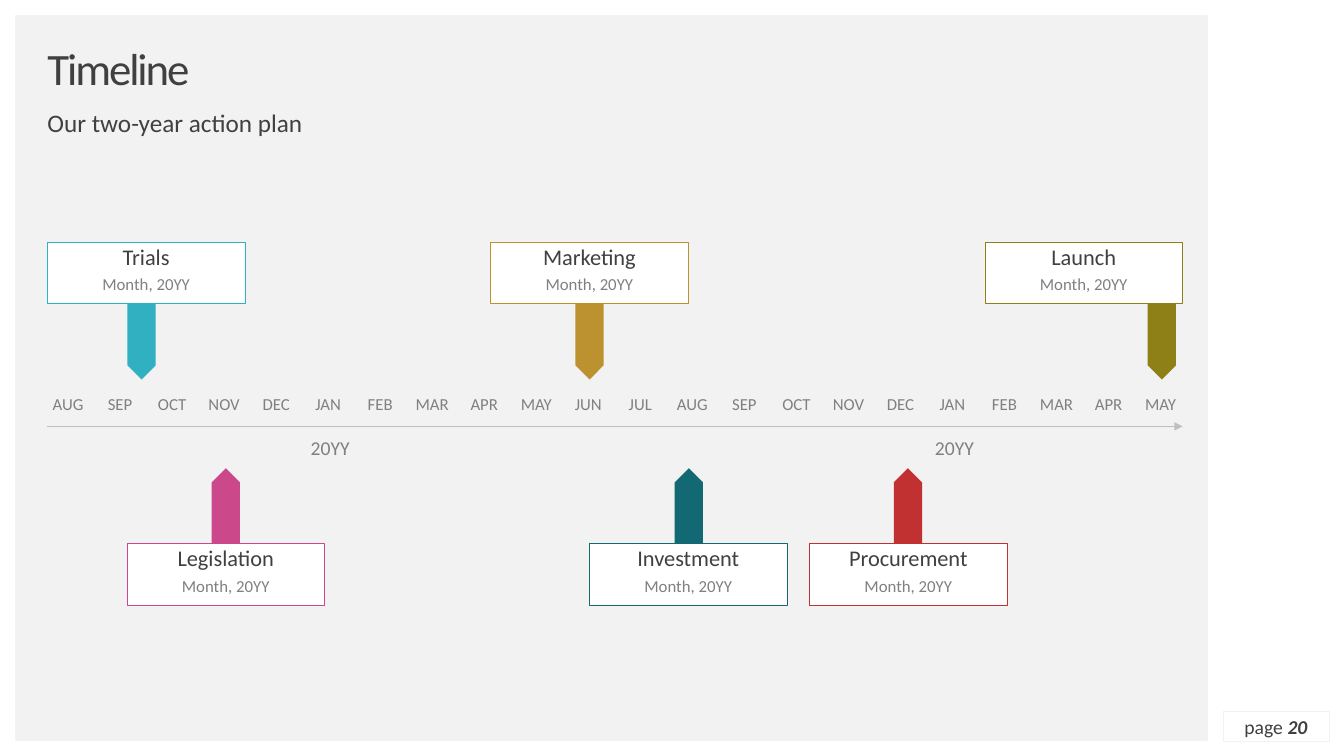
from lxml.etree import SubElement
from pptx import Presentation
from pptx.dml.color import RGBColor
from pptx.enum.shapes import MSO_CONNECTOR, MSO_SHAPE
from pptx.enum.text import MSO_ANCHOR, PP_ALIGN
from pptx.oxml.ns import qn
from pptx.util import Inches, Pt

W, H = 13.33, 7.5
LEFT, COL = 0.47, 0.516  # left margin and width of one month
MONTH_W, CARD_W, CARD_H = 0.41, 1.96, 0.61
ARROW_L, ARROW_W = 0.75, 0.28
EDGE, SIDE = 0.15, 1.35
COLORS = {
    "panel": "F2F2F2", "white": "FFFFFF", "text": "404040", "muted": "808080",
    "axis": "BFBFBF", "cyan": "31B0C1", "pink": "CB488B", "gold": "BC9230",
    "teal": "126974", "red": "C13131", "olive": "8E8016",
}

prs = Presentation()
prs.slide_width, prs.slide_height = Inches(W), Inches(H)
s = prs.slides.add_slide(prs.slide_layouts[6])
s.background.fill.solid()
s.background.fill.fore_color.rgb = RGBColor.from_string(COLORS["panel"])


def add_box(x, y, w, h, fill=None, line=None, shape=MSO_SHAPE.RECTANGLE):
    sp = s.shapes.add_shape(shape, Inches(x), Inches(y), Inches(w), Inches(h))
    sp.shadow.inherit = False
    if fill:
        sp.fill.solid()
        sp.fill.fore_color.rgb = RGBColor.from_string(COLORS[fill])
    else:
        sp.fill.background()
    if line:
        sp.line.color.rgb = RGBColor.from_string(COLORS[line])
        sp.line.width = Pt(0.25)
    else:
        sp.line.fill.background()
    return sp


def write(sp, runs, size, color, align=PP_ALIGN.CENTER, anchor=MSO_ANCHOR.TOP,
          spacing=0.9, top=0, tracking=0):
    """Fill a shape with one paragraph of (text, emphasized) runs."""
    tf = sp.text_frame
    tf.word_wrap = True
    tf.vertical_anchor = anchor
    tf.margin_left = tf.margin_right = tf.margin_bottom = 0
    tf.margin_top = Inches(top)
    p = tf.paragraphs[0]
    p.alignment, p.line_spacing = align, spacing
    for text, emphasized in runs:
        r = p.add_run()
        r.text = text
        r.font.name, r.font.size = "Calibri", Pt(size)
        r.font.bold = r.font.italic = emphasized
        r.font.color.rgb = RGBColor.from_string(COLORS[color])
        if tracking:
            r.font._element.set("spc", str(int(tracking * 100)))


# White frame around the panel
for x, y, w, h in [(0, 0, W, EDGE), (0, 0, EDGE, H),
                   (W - SIDE, 0, SIDE, H), (0, H - EDGE, W, EDGE)]:
    add_box(x, y, w, h, "white")

# Time axis
axis = s.shapes.add_connector(MSO_CONNECTOR.STRAIGHT, Inches(LEFT), Inches(4.23),
                              Inches(11.73), Inches(4.23))
axis.line.color.rgb = RGBColor.from_string(COLORS["axis"])
axis.line.width = Pt(0.5)
SubElement(axis.line._get_or_add_ln(), qn("a:tailEnd"), type="triangle")
SubElement(axis._element.spPr, qn("a:effectLst"))

# Headings
for text, size, y, h, anchor, tracking in [
    ("Timeline", 32, 0.47, 0.47, MSO_ANCHOR.MIDDLE, -1.5),
    ("Our two-year action plan", 18, 1.1, 0.28, MSO_ANCHOR.TOP, 0),
]:
    sp = s.shapes.add_textbox(Inches(LEFT), Inches(y), Inches(11.09), Inches(h))
    write(sp, [(text, False)], size, "text", PP_ALIGN.LEFT, anchor, tracking=tracking)

# Months, and a year under each January
months = ("AUG SEP OCT NOV DEC JAN FEB MAR APR MAY JUN JUL "
          "AUG SEP OCT NOV DEC JAN FEB MAR APR MAY").split()
for i, month in enumerate(months):
    x = LEFT + i * COL
    sp = s.shapes.add_textbox(Inches(x), Inches(3.93), Inches(MONTH_W), Inches(0.22))
    write(sp, [(month, False)], 12, "muted")
    if month == "JAN":
        sp = s.shapes.add_textbox(Inches(x), Inches(4.35), Inches(0.45), Inches(0.22))
        write(sp, [("20YY", False)], 14, "muted", anchor=MSO_ANCHOR.MIDDLE)

# Milestones: name, color, card column, arrow column, above the axis
for name, color, card_col, arrow_col, above in [
    ("Trials", "cyan", 0, 1.81, True),
    ("Legislation", "pink", 1.53, 3.43, False),
    ("Marketing", "gold", 8.52, 10.42, True),
    ("Investment", "teal", 10.42, 12.33, False),
    ("Procurement", "red", 14.65, 16.54, False),
    ("Launch", "olive", 18.02, 21.42, True),
]:
    x = LEFT + card_col * COL
    y, arrow_y = (2.4, 3.39) if above else (5.39, 5.02)
    arrow = add_box(LEFT + arrow_col * COL - ARROW_L / 2, arrow_y - ARROW_W / 2,
                    ARROW_L, ARROW_W, color, shape=MSO_SHAPE.PENTAGON)
    arrow.rotation = 90 if above else 270
    card = add_box(x, y, CARD_W, CARD_H, "white", color)
    write(card, [(name, False)], 16, "text", top=0.04)
    sp = s.shapes.add_textbox(Inches(x + 0.05), Inches(y + 0.34),
                              Inches(CARD_W - 0.1), Inches(0.25))
    write(sp, [("Month, 20YY", False)], 12, "muted")

# Page number
page = add_box(12.13, 7.06, 1.05, 0.29, line="panel")
write(page, [("page ", False), ("20", True)], 14, "text",
      anchor=MSO_ANCHOR.MIDDLE, spacing=1.0)

prs.save("out.pptx")
